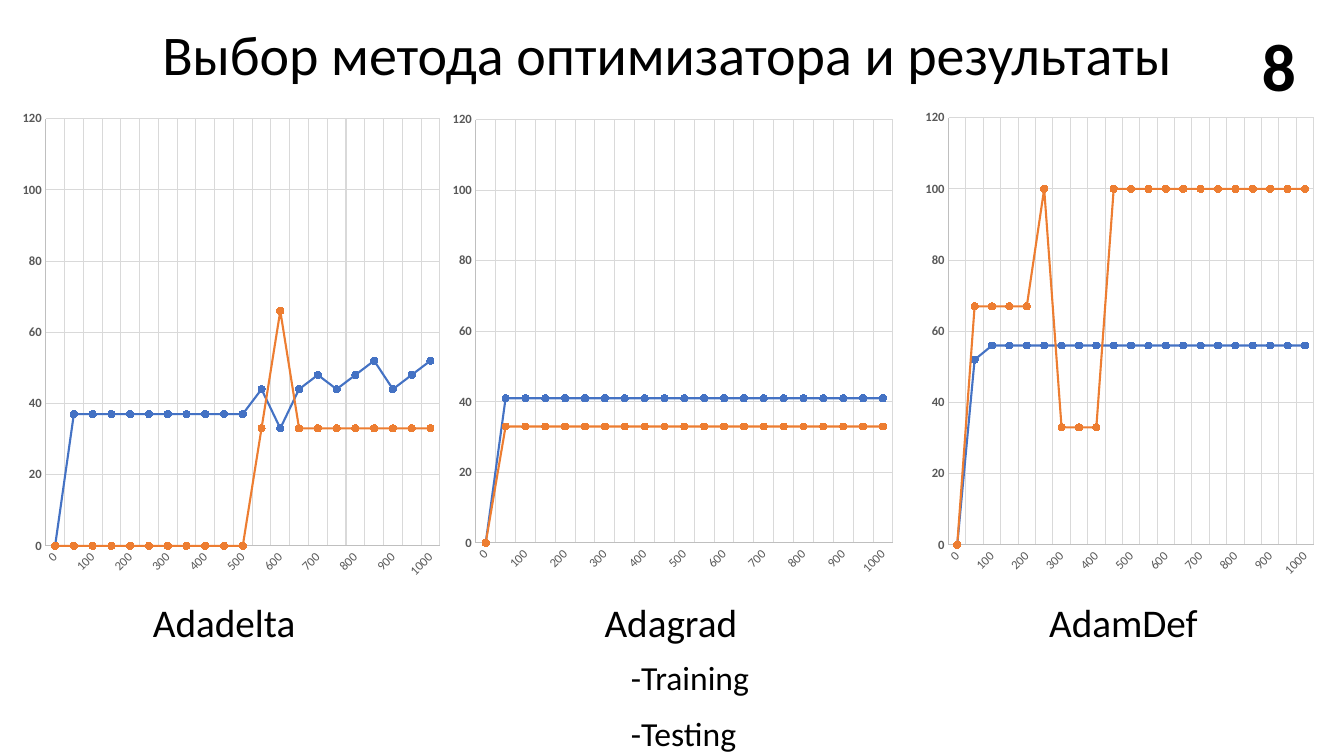
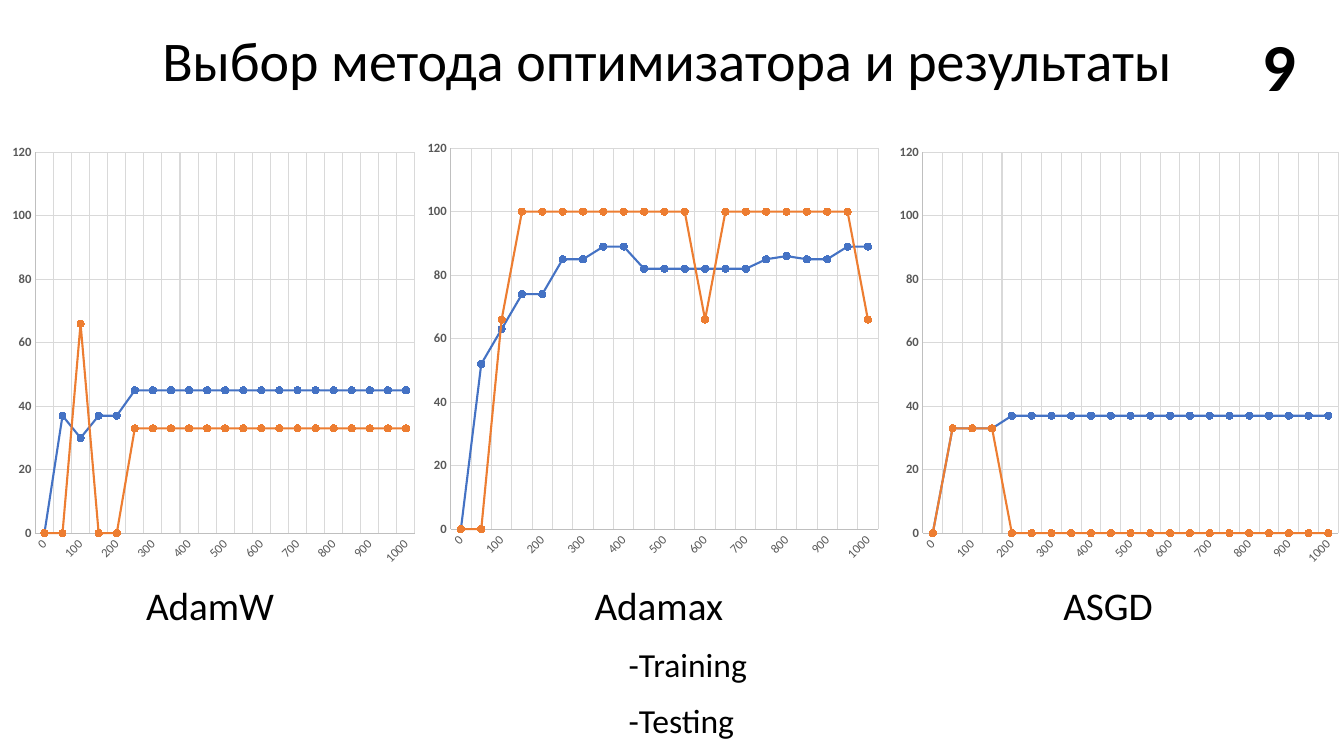
from dataclasses import dataclass

from pptx import Presentation
from pptx import util as u
from pptx.chart import data
from pptx.dml import color
from pptx.enum import chart as ch, text as tx
from pptx.oxml import parse_xml
from pptx.oxml.ns import nsdecls, qn

FONT = "Calibri"
TITLE = "Выбор метода оптимизатора и результаты"
HUES = {"text": "000000", "label": "595959", "axis": "BFBFBF",
        "grid": "D9D9D9", "Training": "4472C4", "Testing": "ED7D31"}
EPOCHS = [str(n) for n in range(0, 1001, 50)]


@dataclass
class Box:
    left: float
    top: float
    width: float
    height: float

    def lengths(self) -> list:
        return [u.Pt(n) for n in (self.left, self.top, self.width, self.height)]


@dataclass
class Panel:
    """One optimizer: its chart, inner plot fractions and caption."""
    name: str
    label: Box
    frame: Box
    plot: tuple
    train: list
    test: list


@dataclass
class Page:
    number: str
    title: float  # top of the title
    key: Box      # first key line
    step: float   # distance to the second key line
    panels: list


PAGES = [
    Page("8", 10, Box(443.5, 465.8, 114, 36), 39.8, [
        Panel("Adadelta", Box(102.2, 423.6, 118.8, 41),
              Box(0, 66.2, 323.3, 357.8), (0.101, 0.052, 0.871, 0.853),
              [0] + [37] * 10 + [44, 33, 44, 48, 44, 48, 52, 44, 48, 52],
              [0] * 11 + [33, 66] + [33] * 8),
        Panel("Adagrad", Box(424.8, 424, 110.9, 41),
              Box(323.3, 66.2, 323.3, 357.8), (0.051, 0.054, 0.922, 0.845),
              [0] + [41] * 20,
              [0] + [33] * 20),
        Panel("AdamDef", Box(742.3, 424, 123.1, 41),
              Box(647.3, 65.5, 299.5, 357.8), (0.101, 0.052, 0.871, 0.853),
              [0, 52] + [56] * 19,
              [0] + [67] * 4 + [100] + [33] * 3 + [100] * 12),
    ]),
    Page("9", 14.4, Box(442, 456.5, 114, 36), 40, [
        Panel("AdamW", Box(97.2, 411.8, 113.8, 41),
              Box(0, 92.2, 308.2, 319), (0.082, 0.052, 0.88, 0.853),
              [0, 37, 30, 37, 37] + [45] * 16,
              [0, 0, 66, 0, 0] + [33] * 16),
        Panel("Adamax", Box(417.6, 411.8, 125.3, 41),
              Box(300.2, 89.3, 335.5, 319), (0.065, 0.052, 0.91, 0.853),
              [0, 52, 63, 74, 74, 85, 85, 89, 89] + [82] * 6
              + [85, 86, 85, 85, 89, 89],
              [0, 0, 66] + [100] * 9 + [66] + [100] * 7 + [66]),
        Panel("ASGD", Box(752.4, 411.8, 90, 41),
              Box(635.8, 92.2, 324.7, 319), (0.072, 0.052, 0.914, 0.853),
              [0] + [33] * 3 + [37] * 17,
              [0] + [33] * 3 + [0] * 17),
    ]),
]


def rgb(name: str) -> color.RGBColor:
    return color.RGBColor.from_string(HUES[name])


def style(font, size: float, hue: str = "text", bold: bool = False) -> None:
    font.name, font.size, font.bold = FONT, u.Pt(size), bold
    font.color.rgb = rgb(hue)


def stroke(line, hue: str, width: float) -> None:
    line.color.rgb = rgb(hue)
    line.width = u.Pt(width)


def add_title(slide, top: float) -> None:
    shape = slide.shapes.title
    shape.left, shape.top, shape.width, shape.height = Box(
        108.7, top, 743, 55.7).lengths()
    frame = shape.text_frame
    frame.text = TITLE
    frame.word_wrap = False
    frame.auto_size = tx.MSO_AUTO_SIZE.NONE
    frame.vertical_anchor = tx.MSO_ANCHOR.TOP
    para = frame.paragraphs[0]
    para.alignment = tx.PP_ALIGN.LEFT
    style(para.font, 40)


def add_text(slide, words: str, box: Box, size: float,
             bold: bool = False) -> None:
    frame = slide.shapes.add_textbox(*box.lengths()).text_frame
    frame.word_wrap = True
    frame.text = words
    style(frame.paragraphs[0].font, size, bold=bold)


def set_axis(axis, bold: bool) -> None:
    axis.major_tick_mark = axis.minor_tick_mark = ch.XL_TICK_MARK.NONE
    axis.has_major_gridlines = True
    stroke(axis.major_gridlines.format.line, "grid", 0.75)
    stroke(axis.format.line, "axis", 0.75)
    style(axis.tick_labels.font, 9, "label", bold)


def set_plot(chart, plot: tuple) -> None:
    """Fix the inner plot area as fractions of the chart."""
    area = chart.element.find(".//" + qn("c:plotArea"))
    for old in area.findall(qn("c:layout")):
        area.remove(old)
    modes = '<c:xMode val="edge"/><c:yMode val="edge"/>'
    sizes = "".join(f'<c:{tag} val="{val}"/>' for tag, val in zip("xywh", plot))
    area.insert(0, parse_xml(
        f'<c:layout {nsdecls("c")}><c:manualLayout>'
        f'<c:layoutTarget val="inner"/>{modes}{sizes}'
        '</c:manualLayout></c:layout>'))


def tilt_labels(axis) -> None:
    """Slant the category labels and show every second one."""
    node = axis.format.line and chart_axis(axis)
    node.find(".//" + qn("a:bodyPr")).set("rot", "-2700000")
    skip = parse_xml(f'<c:tickLblSkip {nsdecls("c")} val="2"/>')
    node.find(qn("c:noMultiLvlLbl")).addprevious(skip)


def chart_axis(axis):
    return axis.tick_labels.font and axis._element


def add_panel(slide, panel: Panel) -> None:
    table = data.CategoryChartData()
    table.categories = EPOCHS
    table.add_series("Training", panel.train)
    table.add_series("Testing", panel.test)
    chart = slide.shapes.add_chart(
        ch.XL_CHART_TYPE.LINE_MARKERS, *panel.frame.lengths(), table).chart
    chart.has_legend = chart.has_title = False
    style(chart.font, 10)
    set_plot(chart, panel.plot)

    # Axes
    set_axis(chart.category_axis, False)
    tilt_labels(chart.category_axis)
    scale = chart.value_axis
    set_axis(scale, True)
    scale.minimum_scale, scale.maximum_scale, scale.major_unit = 0, 120, 20

    # Lines and markers
    chart.plots[0].vary_by_categories = False
    for line in chart.plots[0].series:
        line.smooth = False
        stroke(line.format.line, line.name, 1.5)
        mark = line.marker
        mark.style, mark.size = ch.XL_MARKER_STYLE.CIRCLE, 5
        mark.format.fill.solid()
        mark.format.fill.fore_color.rgb = rgb(line.name)
        stroke(mark.format.line, line.name, 0.75)

    add_text(slide, panel.name, panel.label, 28)


def add_page(deck, page: Page) -> None:
    slide = deck.slides.add_slide(deck.slide_layouts[5])
    add_title(slide, page.title)
    add_text(slide, page.number, Box(894.2, 13.7, 35.3, 65.5), 48, True)
    for panel in page.panels:
        add_panel(slide, panel)
    key = page.key
    for row, name in enumerate(("Training", "Testing")):
        box = Box(key.left, key.top + row * page.step, key.width, key.height)
        add_text(slide, f"-{name}", box, 24)


def main() -> None:
    deck = Presentation()
    deck.slide_width, deck.slide_height = u.Pt(960), u.Pt(540)
    for page in PAGES:
        add_page(deck, page)
    deck.save("out.pptx")


if __name__ == "__main__":
    main()
